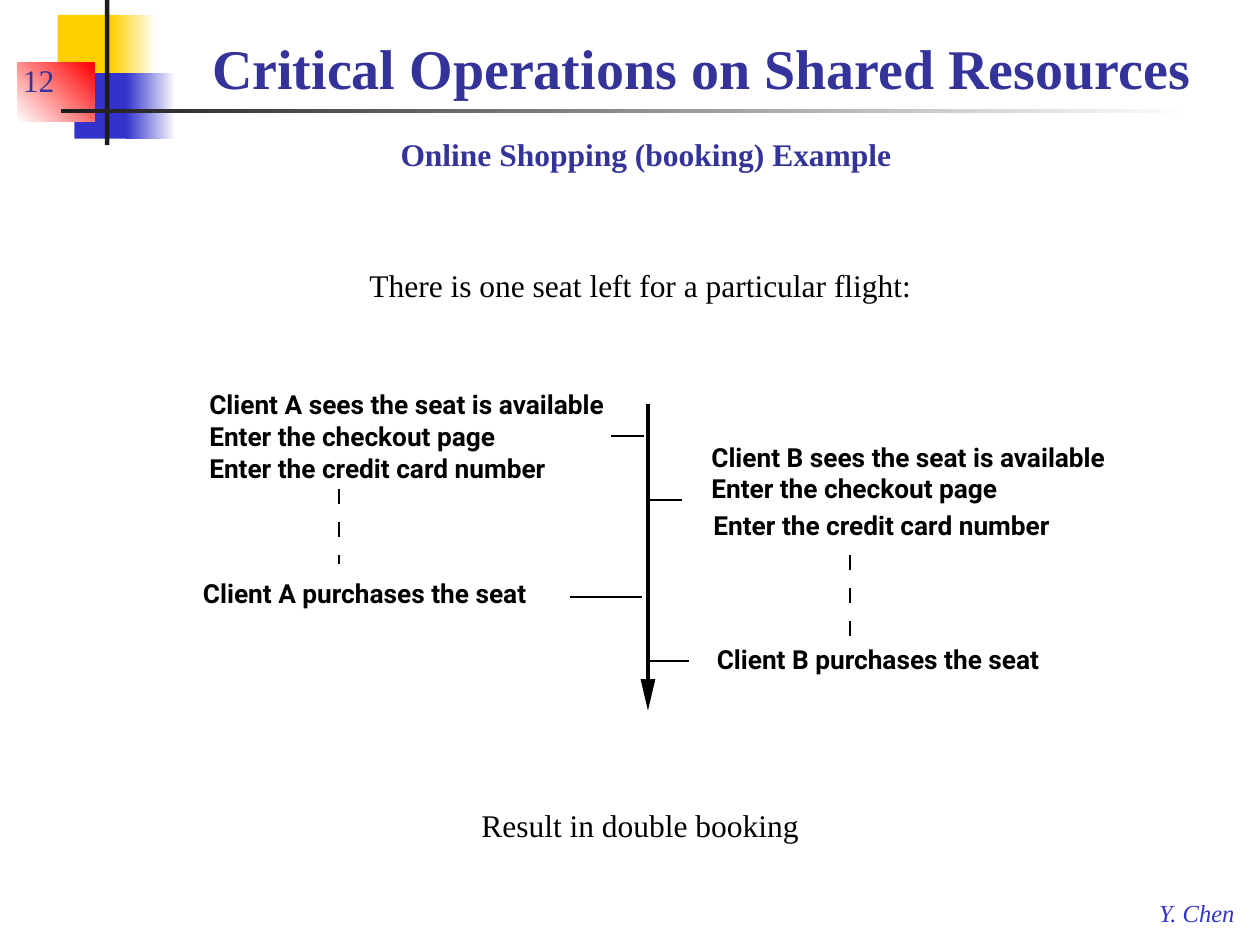
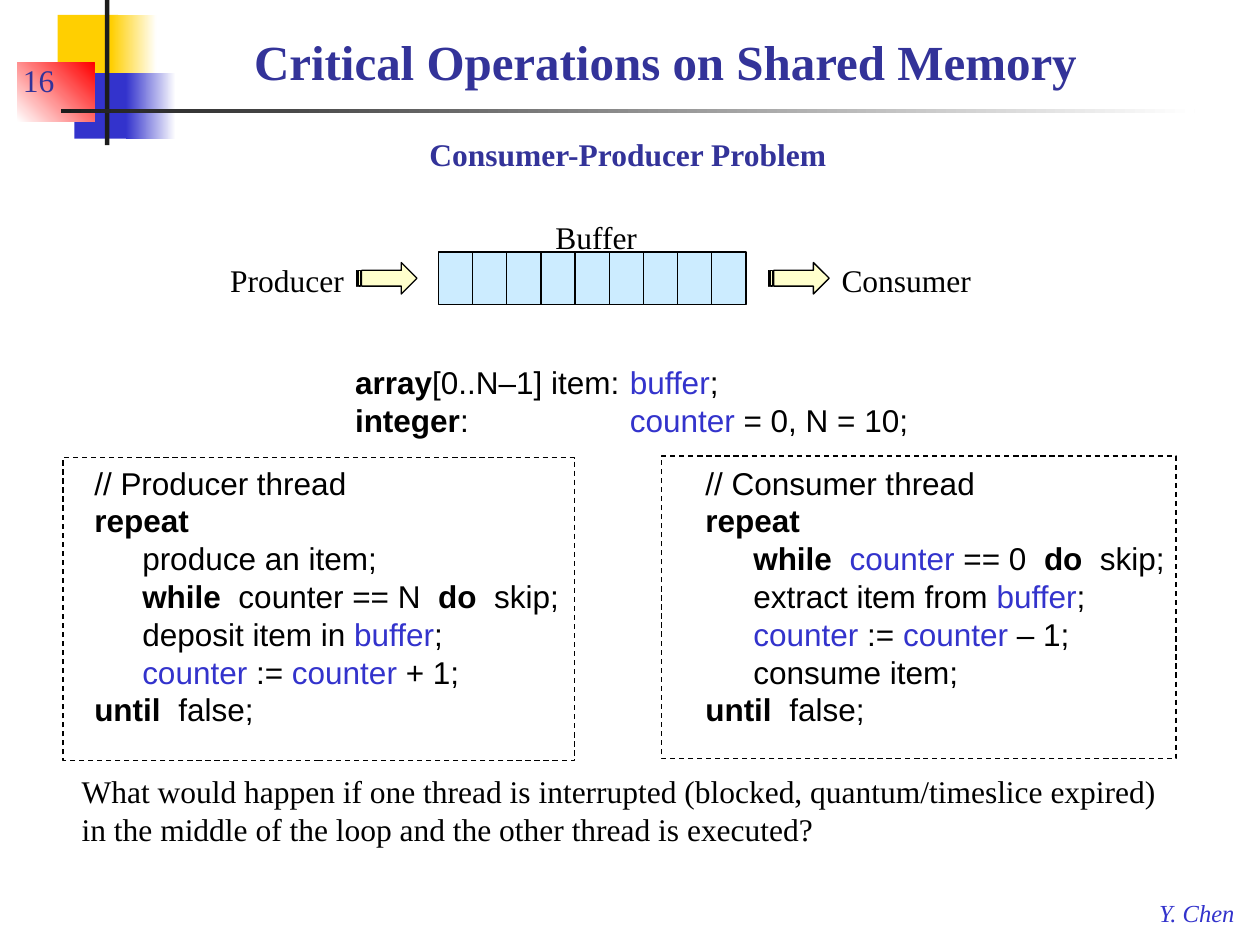
from lxml import etree
from pptx import Presentation
from pptx.dml.color import RGBColor
from pptx.enum.dml import MSO_LINE
from pptx.enum.shapes import MSO_CONNECTOR, MSO_SHAPE
from pptx.enum.text import MSO_ANCHOR, MSO_AUTO_SIZE, PP_ALIGN
from pptx.oxml.ns import qn
from pptx.util import Pt

RECTANGLE = MSO_SHAPE.RECTANGLE
STRIPED_ARROW = MSO_SHAPE.STRIPED_RIGHT_ARROW
STRAIGHT = MSO_CONNECTOR.STRAIGHT
DASH = MSO_LINE.DASH
TOP, BOTTOM = MSO_ANCHOR.TOP, MSO_ANCHOR.BOTTOM
LEFT = PP_ALIGN.LEFT
NO_AUTOFIT = MSO_AUTO_SIZE.NONE

# Shared style
SERIF, SANS, DIAGRAM_FONT = "Times New Roman", "Arial", "Roboto"
BLACK, WHITE, NAVY, BLUE = "000000", "FFFFFF", "333399", "3333CC"
YELLOW, RED, CHARCOAL = "FFCF01", "FF0000", "1C1C1C"
CELL_BLUE, ARROW_CREAM = "CCECFF", "FFFFCC"

# Theme: left, top, width, height, colours (two make a gradient), angle
THEME_BLOCKS = [
    (33, 8.5, 34.5, 37.5, [YELLOW], 0),
    (63.5, 8.5, 26, 37.5, [YELLOW, WHITE], 0),
    (42.5, 41.75, 33, 37.5, [BLUE], 0),
    (72, 41.75, 28.5, 37.5, [BLUE, WHITE], 0),
    (10, 36, 44, 33.5, [WHITE, RED], 45),
    (60, 0, 2.5, 83, [CHARCOAL], 0),
    (34.75, 62.25, 648, 2.25, [CHARCOAL, WHITE], 0),
]
AUTHOR = "Y. Chen"

# Slide 1: text, left, top, width
BOOKING_NOTES = [
    ("There is one seat left for a particular flight:", 204, 148.3, 327.5),
    ("Result in double booking", 268, 457.2, 198),
]
CLIENT_STEPS = [
    (["Client A sees the seat is available", "Enter the checkout page"], 119.6, 222),
    (["Enter the credit card number"], 119.6, 258.5),
    (["Client A purchases the seat"], 116, 330),
    (["Client B sees the seat is available", "Enter the checkout page"], 406.5, 252),
    (["Enter the credit card number"], 407.7, 291),
    (["Client B purchases the seat"], 409.6, 367.4),
]
TIMELINE_X, TIMELINE_TOP, TIMELINE_END, TIMELINE_TIP = 370.3, 231, 388, 406
EVENT_TICKS = [(349, 368, 249), (370, 389.5, 285.7),
               (325.5, 367, 341.2), (369.5, 394, 377.8)]  # from x, to x, y
WAITS = [(193.7, 279.4, 322.5), (485.6, 317, 363.5)]      # x, top, bottom
WAIT_DASH, WAIT_STEP = 8.5, 19

# Slide 2: "|" parts the runs, "*" starts a bold run, "~" a blue one
DECLARATIONS = ["*array|[0..N–1] item:\t|~buffer|;",
                "*integer|:\t|~counter |= 0, N = 10;"]
PRODUCER_CODE = [
    "// Producer thread",
    "*repeat",
    "\tproduce an item;",
    "\t|*while|  counter == N  |*do|  skip;",
    "\tdeposit item in |~buffer|;",
    "\t|~counter| := |~counter| + 1;",
    "*until  |false;",
]
CONSUMER_CODE = [
    "// Consumer thread",
    "*repeat",
    "\t|*while  |~counter| == 0  |*do|  skip;",
    "\textract item from |~buffer|;",
    "\t|~counter| := |~counter| – 1;",
    "\tconsume item;",
    "*until  |false;",
]
CODE_BLOCKS = [  # lines, left, top, width, height, tab stop
    (DECLARATIONS, 195.8, 203.8, 339, 51, 157),
    (PRODUCER_CODE, 46.8, 261.4, 300, 158.4, 27.4),
    (CONSUMER_CODE, 396, 261.4, 279.5, 158.4, 27.4),
]
THREAD_FRAMES = [(36, 261.5, 292.5, 173), (378, 260.5, 294, 173)]
BUFFER_LABELS = [("Producer", 124.5, 145.4, 79.2),
                 ("Consumer", 473.8, 145.4, 88.6),
                 ("Buffer", 310.3, 121.3, 61)]
BUFFER_LEFT, BUFFER_TOP, CELL_WIDTH, CELL_HEIGHT, CELL_COUNT = 250.5, 144, 19.53, 30, 9
FLOW_ARROW_LEFTS = [203.8, 439.3]
QUESTION = ("What would happen if one thread is interrupted (blocked, quantum/timeslice "
            "expired) in the middle of the loop and the other thread is executed?")


def color(hex_string):
    return RGBColor.from_string(hex_string)


def style_run(run, size, font, ink, bold=False, italic=False):
    run.font.size, run.font.name = Pt(size), font
    run.font.bold, run.font.italic = bold, italic
    run.font.color.rgb = color(ink)


def add_text(slide, lines, left, top, width, height=29, size=18, font=SERIF,
             ink=BLACK, bold=False, italic=False, wrap=True, anchor=TOP, inset=True):
    box = slide.shapes.add_textbox(Pt(left), Pt(top), Pt(width), Pt(height))
    frame = box.text_frame
    frame.word_wrap, frame.vertical_anchor = wrap, anchor
    if not inset:
        frame.margin_left = frame.margin_right = frame.margin_top = frame.margin_bottom = 0
    frame.text = "\n".join(lines)
    for paragraph in frame.paragraphs:
        for run in paragraph.runs:
            style_run(run, size, font, ink, bold, italic)
    return box


def add_code(slide, lines, left, top, width, height, tab_stop):
    box = slide.shapes.add_textbox(Pt(left), Pt(top), Pt(width), Pt(height))
    frame = box.text_frame
    frame.word_wrap = True
    for index, line in enumerate(lines):
        paragraph = frame.add_paragraph() if index else frame.paragraphs[0]
        paragraph.line_spacing = Pt(21.6)
        tabs = etree.SubElement(paragraph._p.get_or_add_pPr(), qn("a:tabLst"))
        etree.SubElement(tabs, qn("a:tab"), pos=str(Pt(tab_stop)), algn="l")
        for piece in line.split("|"):
            run = paragraph.add_run()
            run.text = piece.lstrip("*~")
            style_run(run, 18, SANS, BLUE if piece.startswith("~") else BLACK,
                      bold=piece.startswith("*"))


def add_block(slide, left, top, width, height, fills, angle=0, outline=None,
              dash=None, preset=RECTANGLE):
    block = slide.shapes.add_shape(preset, Pt(left), Pt(top), Pt(width), Pt(height))
    block.shadow.inherit = False
    if len(fills) == 1:
        block.fill.solid()
        block.fill.fore_color.rgb = color(fills[0])
    else:
        block.fill.gradient()
        block.fill.gradient_angle = angle
        for stop, shade in zip(block.fill.gradient_stops, fills):
            stop.color.rgb = color(shade)
    if outline:
        block.line.color.rgb, block.line.width = color(outline), Pt(0.75)
        if dash:
            block.line.dash_style = dash
    else:
        block.line.fill.background()
    return block


def add_line(slide, x1, y1, x2, y2, width=1.13):
    line = slide.shapes.add_connector(STRAIGHT, Pt(x1), Pt(y1), Pt(x2), Pt(y2))
    line.line.color.rgb, line.line.width = color(BLACK), Pt(width)
    etree.SubElement(line.element.spPr, qn("a:effectLst"))


def move_theme_to_layout(slide):
    """Draw the shared decoration and footer, then hand them to the layout."""
    parts = [add_block(slide, *block) for block in THEME_BLOCKS]
    parts.append(add_text(slide, [AUTHOR], 655.2, 509.8, 59, 24, size=14, ink=BLUE,
                          italic=True, wrap=False))
    for part in parts:
        slide.slide_layout.shapes.element.append(part.element)


def start_slide(prs, number, title, title_box, title_size, subtitle, subtitle_left,
                subtitle_width):
    slide = prs.slides.add_slide(prs.slide_layouts[5])
    heading = slide.shapes.title
    heading.left, heading.top, heading.width, heading.height = map(Pt, title_box)
    frame = heading.text_frame
    frame.text = title
    frame.auto_size, frame.vertical_anchor = NO_AUTOFIT, BOTTOM
    frame.paragraphs[0].alignment = LEFT
    style_run(frame.paragraphs[0].runs[0], title_size, SERIF, NAVY, bold=True)
    add_text(slide, [number], 6, 24, 150, 36, ink=NAVY, anchor=BOTTOM)
    add_text(slide, [subtitle], subtitle_left, 73.4, subtitle_width, ink=NAVY,
             bold=True, wrap=False)
    return slide


def build_booking(prs):
    slide = start_slide(prs, "12", "Critical Operations on Shared Resources",
                        (114, 12, 600, 49), 32,
                        "Online Shopping (booking) Example", 221.8, 302.4)
    move_theme_to_layout(slide)
    for note, left, top, width in BOOKING_NOTES:
        add_text(slide, [note], left, top, width, wrap=False)
    for steps, left, top in CLIENT_STEPS:
        add_text(slide, steps, left, top, 245, 18.3 * len(steps), size=15,
                 font=DIAGRAM_FONT, bold=True, inset=False)

    # Timeline with its arrowhead and events
    add_line(slide, TIMELINE_X, TIMELINE_TOP, TIMELINE_X, TIMELINE_END, 2.13)
    builder = slide.shapes.build_freeform(Pt(TIMELINE_X), Pt(TIMELINE_TIP))
    builder.add_line_segments([(Pt(TIMELINE_X + side), Pt(TIMELINE_END))
                               for side in (-4.25, 4.25)])
    tip = builder.convert_to_shape()
    tip.shadow.inherit = False
    tip.fill.solid()
    tip.fill.fore_color.rgb = color(BLACK)
    tip.line.fill.background()
    for x1, x2, y in EVENT_TICKS:
        add_line(slide, x1, y, x2, y)

    # Waiting time of each client
    for x, top, bottom in WAITS:
        for step in range(3):
            y = top + step * WAIT_STEP
            add_line(slide, x, y, x, min(y + WAIT_DASH, bottom))


def build_buffer(prs):
    slide = start_slide(prs, "16", "Critical Operations on Shared Memory",
                        (138, 6, 576, 49), 28,
                        "Consumer-Producer Problem", 238.3, 243.4)
    # Threads and their code
    for frame in THREAD_FRAMES:
        add_block(slide, *frame, [WHITE], outline=BLACK, dash=DASH)
    for block in CODE_BLOCKS:
        add_code(slide, *block)
    add_text(slide, [QUESTION], 39.6, 437.8, 632, 50.4)

    # Buffer between producer and consumer
    for cell in range(CELL_COUNT):
        add_block(slide, BUFFER_LEFT + cell * CELL_WIDTH, BUFFER_TOP, CELL_WIDTH,
                  CELL_HEIGHT, [CELL_BLUE], outline=BLACK)
    for left in FLOW_ARROW_LEFTS:
        add_block(slide, left, 150, 34.5, 18, [ARROW_CREAM], outline=BLACK,
                  preset=STRIPED_ARROW)
    for label, left, top, width in BUFFER_LABELS:
        add_text(slide, [label], left, top, width, wrap=False)


def main():
    prs = Presentation()
    prs.slide_width, prs.slide_height = Pt(720), Pt(540)
    build_booking(prs)
    build_buffer(prs)
    prs.save("out.pptx")


if __name__ == "__main__":
    main()
